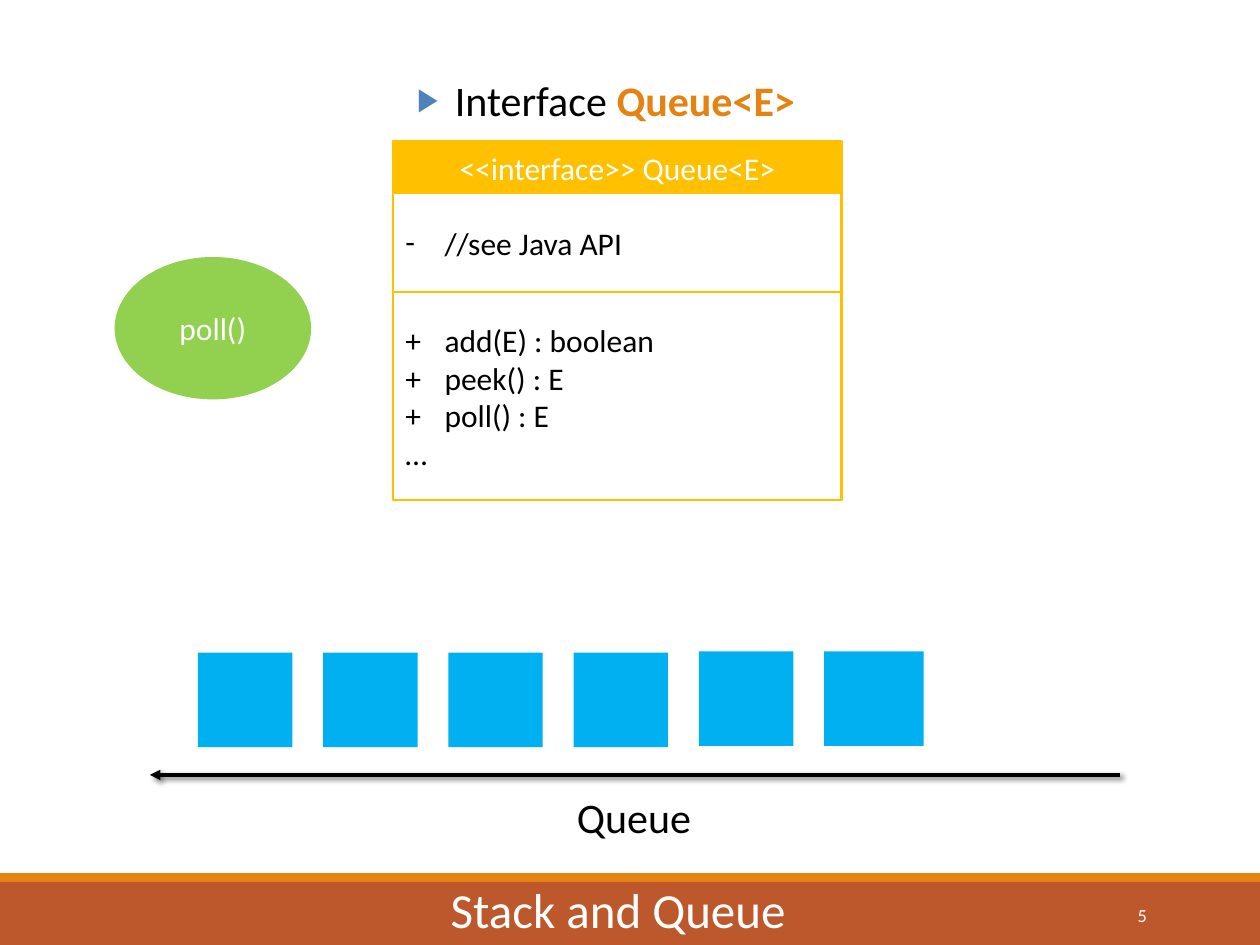
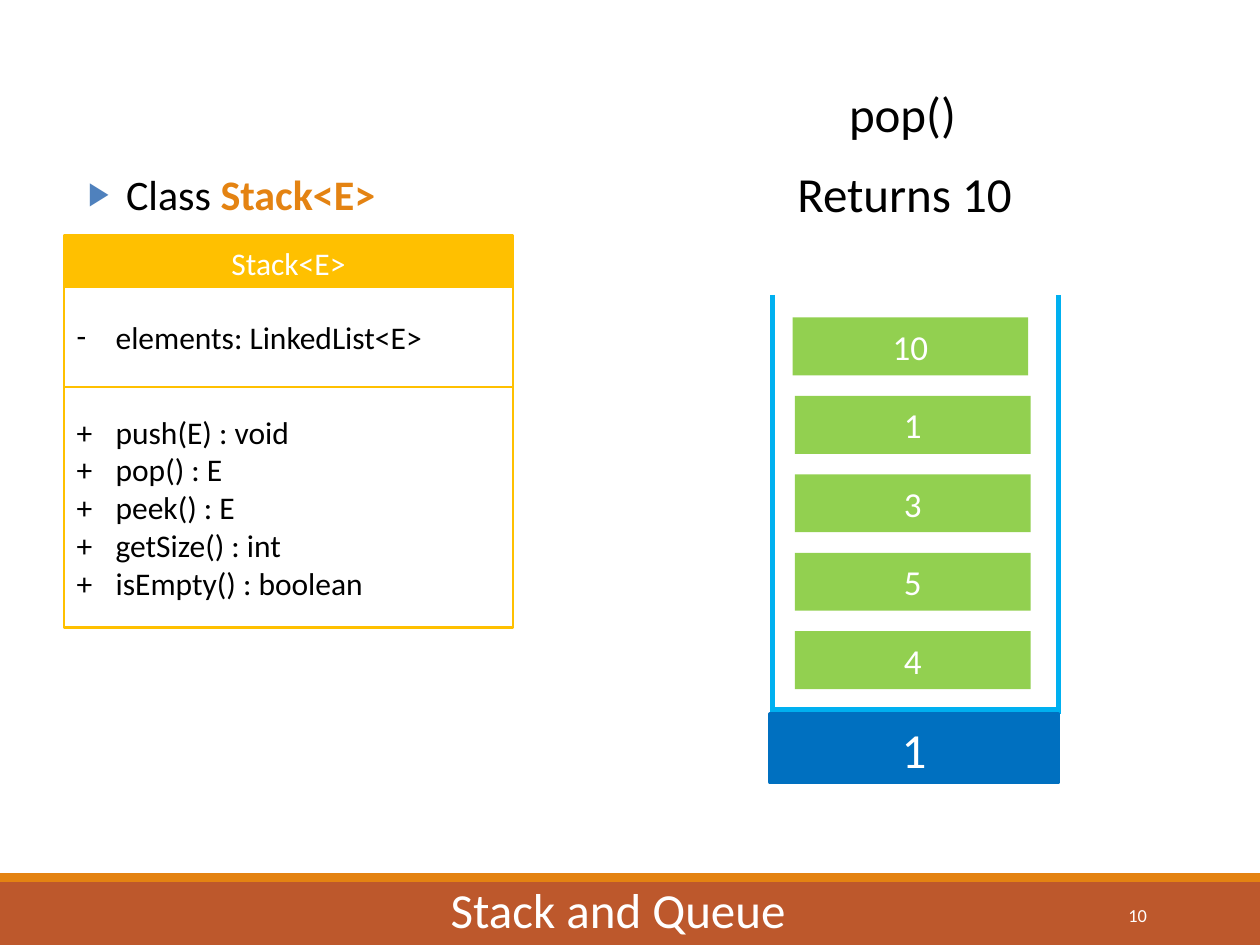
"""Build two slides on the Queue interface and the Stack class."""
from dataclasses import dataclass

import pptx
import pptx.util
from lxml import etree
from pptx.dml.color import RGBColor
from pptx.enum.shapes import MSO_CONNECTOR, MSO_SHAPE
from pptx.enum.text import MSO_ANCHOR, MSO_AUTO_SIZE, PP_ALIGN
from pptx.oxml.ns import qn
from pptx.util import Inches


@dataclass(frozen=True)
class Theme:
    """Colours, font and type sizes of the deck."""
    font: str = "Calibri"
    black: str = "000000"
    white: str = "FFFFFF"
    band: str = "BD582C"
    accent: str = "E48312"
    bullet: str = "4F81BD"
    uml: str = "FFC000"
    item: str = "92D050"
    cell: str = "00B0F0"
    base: str = "0070C0"
    big: float = 28
    lead: float = 24
    value: float = 20
    body: float = 18
    number: float = 10.5


@dataclass(frozen=True)
class Box:
    """A rectangle in inches."""
    x: float
    y: float
    w: float
    h: float


@dataclass(frozen=True)
class UmlClass:
    """A class diagram with its three compartments."""
    x: float
    y: float
    name: str
    field: str
    methods: tuple[str, ...]
    methods_h: float


T = Theme()
UML_W = 3.56
HANG = 0.31
QUEUE = UmlClass(3.12, 1.12, "<<interface>> Queue<E>", "//see Java API",
                 ("+\tadd(E) : boolean", "+\tpeek() : E", "+\tpoll() : E", "…"), 1.65)
STACK = UmlClass(0.51, 1.87, "Stack<E>", "elements: LinkedList<E>",
                 ("+\tpush(E) : void", "+\tpop() : E", "+\tpeek() : E",
                  "+\tgetSize() : int", "+\tisEmpty() : boolean"), 1.91)


def rgb(color: str) -> RGBColor:
    """Turn a hex string into a colour."""
    return RGBColor.from_string(color)


def place(sp, box: Box) -> None:
    """Move and size a shape."""
    sp.left, sp.top = Inches(box.x), Inches(box.y)
    sp.width, sp.height = Inches(box.w), Inches(box.h)


def add_run(p, text: str, size: float, color: str, bold: bool = False) -> None:
    """Add one formatted run to a paragraph."""
    r = p.add_run()
    r.text = text
    r.font.name = T.font
    r.font.size = pptx.util.Pt(size)
    r.font.bold = bold
    r.font.color.rgb = rgb(color)


def add_bullet(p, char: str, indent: float, color: str = T.black, percent: int = 100) -> None:
    """Give a paragraph a hanging bullet."""
    pPr = p._p.get_or_add_pPr()
    pPr.set("marL", str(Inches(indent)))
    pPr.set("indent", str(-Inches(indent)))
    clr = etree.SubElement(pPr, qn("a:buClr"))
    etree.SubElement(clr, qn("a:srgbClr"), val=color)
    etree.SubElement(pPr, qn("a:buSzPct"), val=str(percent * 1000))
    etree.SubElement(pPr, qn("a:buFont"), typeface=T.font)
    etree.SubElement(pPr, qn("a:buChar"), char=char)


def add_tab(p, position: float) -> None:
    """Give a paragraph a left tab stop."""
    tabs = etree.SubElement(p._p.get_or_add_pPr(), qn("a:tabLst"))
    etree.SubElement(tabs, qn("a:tab"), pos=str(Inches(position)), algn="l")


def add_block(s, box: Box, fill: str, text: str = "", size: float = T.body,
              line: str | None = None, width: float = 1.25, kind=MSO_SHAPE.RECTANGLE):
    """Draw a filled shape with optional centred white text."""
    sp = s.shapes.add_shape(kind, *map(Inches, (box.x, box.y, box.w, box.h)))
    sp.shadow.inherit = False
    sp.fill.solid()
    sp.fill.fore_color.rgb = rgb(fill)
    if line:
        sp.line.color.rgb = rgb(line)
        sp.line.width = pptx.util.Pt(width)
    else:
        sp.line.fill.background()
    tf = sp.text_frame
    tf.word_wrap = True
    tf.vertical_anchor = MSO_ANCHOR.MIDDLE
    if text:
        tf.paragraphs[0].alignment = PP_ALIGN.CENTER
        add_run(tf.paragraphs[0], text, size, T.white)
    return sp


def add_label(s, box: Box, text: str, size: float) -> None:
    """Add a black one-line text box."""
    tf = s.shapes.add_textbox(*map(Inches, (box.x, box.y, box.w, box.h))).text_frame
    tf.word_wrap = False
    tf.auto_size = MSO_AUTO_SIZE.SHAPE_TO_FIT_TEXT
    add_run(tf.paragraphs[0], text, size, T.black)


def add_line(s, x1: float, y1: float, x2: float, y2: float, color: str, width: float):
    """Draw a straight line and return it with its empty effect list."""
    cx = s.shapes.add_connector(MSO_CONNECTOR.STRAIGHT, *map(Inches, (x1, y1, x2, y2)))
    cx.line.color.rgb = rgb(color)
    cx.line.width = pptx.util.Pt(width)
    effects = etree.SubElement(cx._element.spPr, qn("a:effectLst"))
    return cx, effects


def add_queue_arrow(s) -> None:
    """Draw the shadowed arrow below the queue."""
    cx, effects = add_line(s, 8.89, 6.15, 1.19, 6.15, T.black, 2)
    etree.SubElement(cx.line._get_or_add_ln(), qn("a:tailEnd"), type="triangle")
    shadow = etree.SubElement(effects, qn("a:outerShdw"), blurRad=str(pptx.util.Pt(3)),
                              dist=str(pptx.util.Pt(2)), dir="2700000", rotWithShape="0")
    clr = etree.SubElement(shadow, qn("a:srgbClr"), val=T.black)
    etree.SubElement(clr, qn("a:alpha"), val="60000")


def add_uml(s, uml: UmlClass) -> None:
    """Draw a class diagram."""
    add_block(s, Box(uml.x, uml.y, UML_W, 0.43), T.uml, uml.name, line=T.uml)
    sp = add_block(s, Box(uml.x, uml.y + 0.41, UML_W, 0.79), T.white, line=T.uml)
    p = sp.text_frame.paragraphs[0]
    p.alignment = PP_ALIGN.JUSTIFY
    add_bullet(p, "-", HANG)
    add_run(p, uml.field, T.body, T.black)
    sp = add_block(s, Box(uml.x, uml.y + 1.2, UML_W, uml.methods_h), T.white, line=T.uml)
    tf = sp.text_frame
    for i, method in enumerate(uml.methods):
        p = tf.add_paragraph() if i else tf.paragraphs[0]
        p.alignment = PP_ALIGN.JUSTIFY
        add_tab(p, HANG)
        add_run(p, method, T.body, T.black)


def add_bands(s) -> None:
    """Draw the footer bands and move them to the shared layout."""
    bands = (Box(0, 6.93, 10, 0.07), T.accent), (Box(0, 7, 10, 0.5), T.band)
    for i, (box, fill) in enumerate(bands):
        sp = add_block(s, box, fill)
        sp._element.nvSpPr.cNvPr.set("id", str(20 + i))
        s.slide_layout.shapes.element.insert(2, sp._element)


def add_slide(prs, number: str, kind: str, name: str, x: float, y: float):
    """Add a slide with its footer title, number and leading bullet."""
    s = prs.slides.add_slide(prs.slide_layouts[1])
    title, body = s.shapes.title, s.placeholders[1]
    place(title, Box(3.46, 6.93, 2.89, 0.57))
    title.text_frame.word_wrap = False
    title.text_frame.auto_size = MSO_AUTO_SIZE.NONE
    add_run(title.text_frame.paragraphs[0], "Stack and Queue", T.big, T.white)

    place(body, Box(x, y, 4.01, 2.85))
    body.text_frame.auto_size = MSO_AUTO_SIZE.NONE
    p = body.text_frame.paragraphs[0]
    p.space_before = pptx.util.Pt(0)
    add_bullet(p, "▶", 0.3, T.bullet, 76)
    add_run(p, f"{kind} ", T.lead, T.black)
    add_run(p, name, T.lead, T.accent, True)

    tf = s.shapes.add_textbox(*map(Inches, (8.12, 7.06, 1.08, 0.4))).text_frame
    tf.word_wrap = True
    tf.vertical_anchor = MSO_ANCHOR.MIDDLE
    tf.paragraphs[0].alignment = PP_ALIGN.RIGHT
    add_run(tf.paragraphs[0], number, T.number, T.white)
    return s


def build_queue(prs) -> None:
    """Build the queue slide."""
    s = add_slide(prs, "5", "Interface", "Queue<E>", 3.21, 0.54)
    add_bands(s)
    add_uml(s, QUEUE)
    add_queue_arrow(s)
    add_label(s, Box(4.48, 6.23, 1.12, 0.5), "Queue", T.lead)
    add_block(s, Box(0.91, 2.04, 1.56, 1.13), T.item, "poll()", kind=MSO_SHAPE.OVAL)
    first, last, count = 1.57, 6.54, 6
    pitch = (last - first) / (count - 1)
    for i in range(count):
        top = 5.18 if i < 4 else 5.17
        width = 0.75 if i < count - 1 else 0.79
        add_block(s, Box(first + i * pitch, top, width, 0.75), T.cell)


def build_stack(prs) -> None:
    """Build the stack slide."""
    s = add_slide(prs, "10", "Class", "Stack<E>", 0.6, 1.29)
    add_uml(s, STACK)
    left, right, floor = 6.13, 8.4, 5.63
    for x in (left, right):
        add_line(s, x, 2.34, x, 5.67, T.cell, 3)
    add_line(s, left, floor, right, floor, T.cell, 3)
    add_block(s, Box(6.11, 5.67, 2.29, 0.54), T.base, "1", T.big, T.base, 2.25)
    values = "10", "1", "3", "5", "4"
    top, bottom = 2.52, 5.01
    pitch = (bottom - top) / (len(values) - 1)
    for i, value in enumerate(values):
        x = 6.31 if i else 6.29
        add_block(s, Box(x, top + i * pitch, 1.87, 0.46), T.item, value, T.value)
    add_label(s, Box(6.64, 0.61, 1.06, 0.57), "pop()", T.big)
    add_label(s, Box(6.23, 1.25, 1.93, 0.57), "Returns 10", T.big)


def main() -> None:
    """Build and save the deck."""
    prs = pptx.Presentation()
    prs.slide_width, prs.slide_height = Inches(10), Inches(7.5)
    build_queue(prs)
    build_stack(prs)
    prs.save("out.pptx")


if __name__ == "__main__":
    main()
